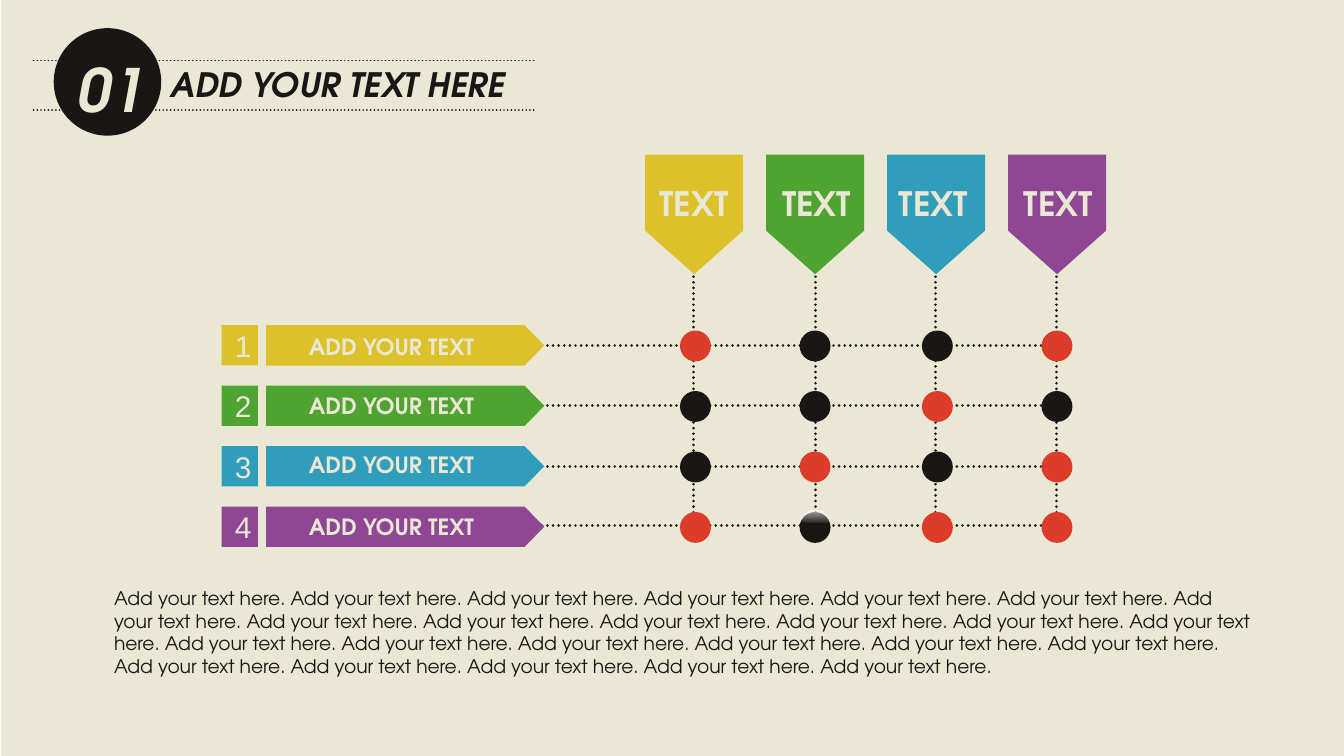
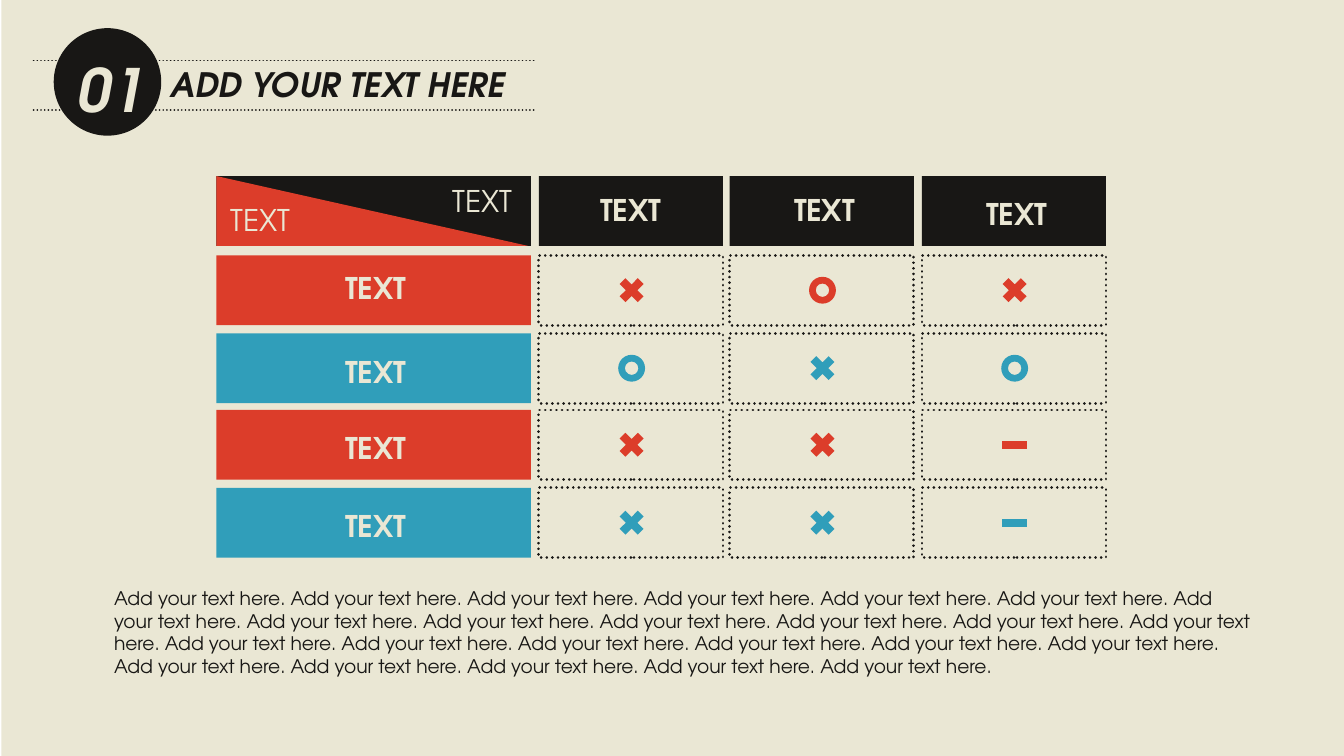
"""Build two infographic slides: a dotted matrix and a comparison grid."""
from lxml import etree
from pptx import Presentation
from pptx import util as u
from pptx.dml.color import RGBColor
from pptx.enum import dml, shapes, text
from pptx.oxml import ns

Inches = u.Inches
MSO = shapes.MSO_SHAPE
CREAM = RGBColor(0xEA, 0xE7, 0xD4)
BLACK = RGBColor(0x18, 0x17, 0x15)
RED = RGBColor(0xDC, 0x3D, 0x2A)
YELLOW = RGBColor(0xDC, 0xC1, 0x2A)
GREEN = RGBColor(0x4F, 0xA3, 0x31)
BLUE = RGBColor(0x30, 0x9E, 0xBA)
PURPLE = RGBColor(0x8F, 0x46, 0x95)
WHITE = RGBColor(0xFF, 0xFF, 0xFF)
FONT = "TeX Gyre Adventor"
BODY = " ".join(["Add your text here."] * 24)


def add_shape(s, kind, x, y, w, h, fill=None, adj=None):
    sp = s.shapes.add_shape(kind, Inches(x), Inches(y), Inches(w), Inches(h))
    sp.shadow.inherit = False
    if fill is None:
        sp.fill.background()
        sp.line.color.rgb = BLACK
        sp.line.width = u.Pt(1.5)
        sp.line.dash_style = dml.MSO_LINE.ROUND_DOT
        sp._element.spPr.find(ns.qn("a:ln")).set("cap", "rnd")
    else:
        sp.fill.solid()
        sp.fill.fore_color.rgb = fill
        sp.line.fill.background()
    if adj is not None:
        sp.adjustments[0] = adj
    return sp


def add_text(s, x, y, w, h, words, size, color=CREAM, bold=True, italic=False, wrap=False):
    sp = s.shapes.add_textbox(Inches(x), Inches(y), Inches(w), Inches(h))
    tf = sp.text_frame
    tf.word_wrap = wrap
    tf.auto_size = text.MSO_AUTO_SIZE.SHAPE_TO_FIT_TEXT
    r = tf.paragraphs[0].add_run()
    r.text = words
    r.font.name = FONT
    r.font.size = u.Pt(size)
    r.font.bold = bold
    r.font.italic = italic
    r.font.color.rgb = color


prs = Presentation()
prs.slide_width = Inches(10)
prs.slide_height = Inches(10) * 9 // 16

header_lines = [(0.25, y, 3.98, y, 1) for y in (0.45, 0.82)]
column_lines = [(x, 1.85, x, 3.92, 1.5) for x in (5.16, 6.07, 6.96, 7.86)]
row_lines = [(3.99, y, 7.85, y, 1.5) for y in (2.57, 3.02, 3.47, 3.91)]

for lines in (header_lines + column_lines + row_lines, header_lines):
    s = prs.slides.add_slide(prs.slide_layouts[6])
    add_shape(s, MSO.RECTANGLE, 0.01, 0, 9.99, 5.64, CREAM)
    for x1, y1, x2, y2, width in lines:
        cx = s.shapes.add_connector(shapes.MSO_CONNECTOR.STRAIGHT,
                                    Inches(x1), Inches(y1), Inches(x2), Inches(y2))
        cx.line.color.rgb = BLACK
        cx.line.width = u.Pt(width)
        cx.line.dash_style = dml.MSO_LINE.ROUND_DOT
        cx._element.spPr.find(ns.qn("a:ln")).set("cap", "rnd")
        etree.SubElement(cx._element.spPr, ns.qn("a:effectLst"))
    add_shape(s, MSO.OVAL, 0.4, 0.21, 0.8, 0.8, BLACK)
    add_text(s, 1.17, 0.43, 2.76, 0.4, "ADD YOUR TEXT HERE", 18, BLACK, italic=True)
    add_text(s, 0.48, 0.34, 0.7, 0.64, "01", 32, italic=True)
    add_text(s, 0.75, 4.32, 8.69, 0.77, BODY, 10, BLACK, bold=False, wrap=True)

matrix, grid = prs.slides

colors = (YELLOW, GREEN, BLUE, PURPLE)
tag_text_x = (4.81, 5.72, 6.59, 7.52)
bar_text_y = (2.43, 2.87, 3.31, 3.77)
dot_x = (5.06, 5.95, 6.86, 7.75)
dots = ("RBBR", "BBRB", "BRBR", "RBRR")
for i, color in enumerate(colors):
    tag = add_shape(matrix, MSO.PENTAGON, 4.72 + 0.9 * i, 1.23, 0.89, 0.73, color, 0.444)
    tag.rotation = 90
    add_text(matrix, tag_text_x[i], 1.31, 0.71, 0.4, "TEXT", 18)

    y = 2.42 + 0.45 * i
    add_shape(matrix, MSO.PENTAGON, 1.98, y, 2.07, 0.3, color, 0.489)
    add_text(matrix, 2.2, bar_text_y[i], 1.45, 0.3, "ADD YOUR TEXT", 12)
    box = add_shape(matrix, MSO.RECTANGLE, 1.65, y, 0.27, 0.3, color)
    box.text_frame.vertical_anchor = text.MSO_ANCHOR.MIDDLE
    p = box.text_frame.paragraphs[0]
    p.alignment = text.PP_ALIGN.CENTER
    r = p.add_run()
    r.text = str(i + 1)
    r.font.name = "Arial"
    r.font.size = u.Pt(16)
    r.font.color.rgb = CREAM

    for x, dot in zip(dot_x, dots[i]):
        add_shape(matrix, MSO.OVAL, x, y + 0.04, 0.23, 0.23, RED if dot == "R" else BLACK)

outline = [(5.96, 3.86), (5.98, 3.82), (6.02, 3.8), (6.06, 3.79), (6.11, 3.8), (6.15, 3.83),
           (6.17, 3.85), (6.16, 3.88), (6.12, 3.89), (6.02, 3.89), (5.97, 3.88)]
points = [(Inches(x), Inches(y)) for x, y in outline]
fb = matrix.shapes.build_freeform(*points[0])
fb.add_line_segments(points[1:])
gloss = fb.convert_to_shape()
gloss.shadow.inherit = False
gloss.line.fill.background()
gloss.fill.gradient()
gloss.fill.gradient_angle = 270
for stop, position in zip(gloss.fill.gradient_stops, (0, 1)):
    stop.color.rgb = WHITE
    stop.position = position
for clr, alpha in zip(gloss._element.spPr.iter(ns.qn("a:srgbClr")), (70000, 0)):
    etree.SubElement(clr, ns.qn("a:alpha")).set("val", str(alpha))

columns = (4.01, 5.43, 6.86)
rows = (1.9, 2.48, 3.05, 3.63)
row_text_y = (1.96, 2.58, 3.15, 3.73)
marks = ("XOX", "OXO", "XX-", "XX-")
mark_kinds = {"X": MSO.MATH_MULTIPLY, "O": MSO.DONUT, "-": MSO.MATH_MINUS}

cells = grid.shapes.add_group_shape()
add_shape(cells, MSO.RECTANGLE, 1.61, 1.31, 2.34, 0.52, BLACK)
add_shape(grid, MSO.RIGHT_TRIANGLE, 1.61, 1.31, 2.32, 0.52, RED)
add_text(grid, 1.62, 1.45, 0.66, 0.37, "TEXT", 16, bold=False)
add_text(grid, 3.27, 1.31, 0.66, 0.37, "TEXT", 16, bold=False)
for x, text_x, text_y in zip(columns, (4.37, 5.81, 7.24), (1.38, 1.38, 1.41)):
    add_shape(cells, MSO.RECTANGLE, x, 1.31, 1.37, 0.52, BLACK)
    add_text(grid, text_x, text_y, 0.66, 0.37, "TEXT", 16)
for i, y in enumerate(rows):
    color = BLUE if i % 2 else RED
    add_shape(cells, MSO.RECTANGLE, 1.61, y, 2.34, 0.52, color)
    add_text(grid, 2.47, row_text_y[i], 0.66, 0.37, "TEXT", 16)
    for x, mark in zip(columns, marks[i]):
        add_shape(cells, MSO.RECTANGLE, x, y, 1.37, 0.52)
        size = 0.2 if mark == "O" else 0.26
        add_shape(cells, mark_kinds[mark], x + 0.69 - size / 2, y + 0.26 - size / 2,
                  size, size, color)

prs.save("out.pptx")
